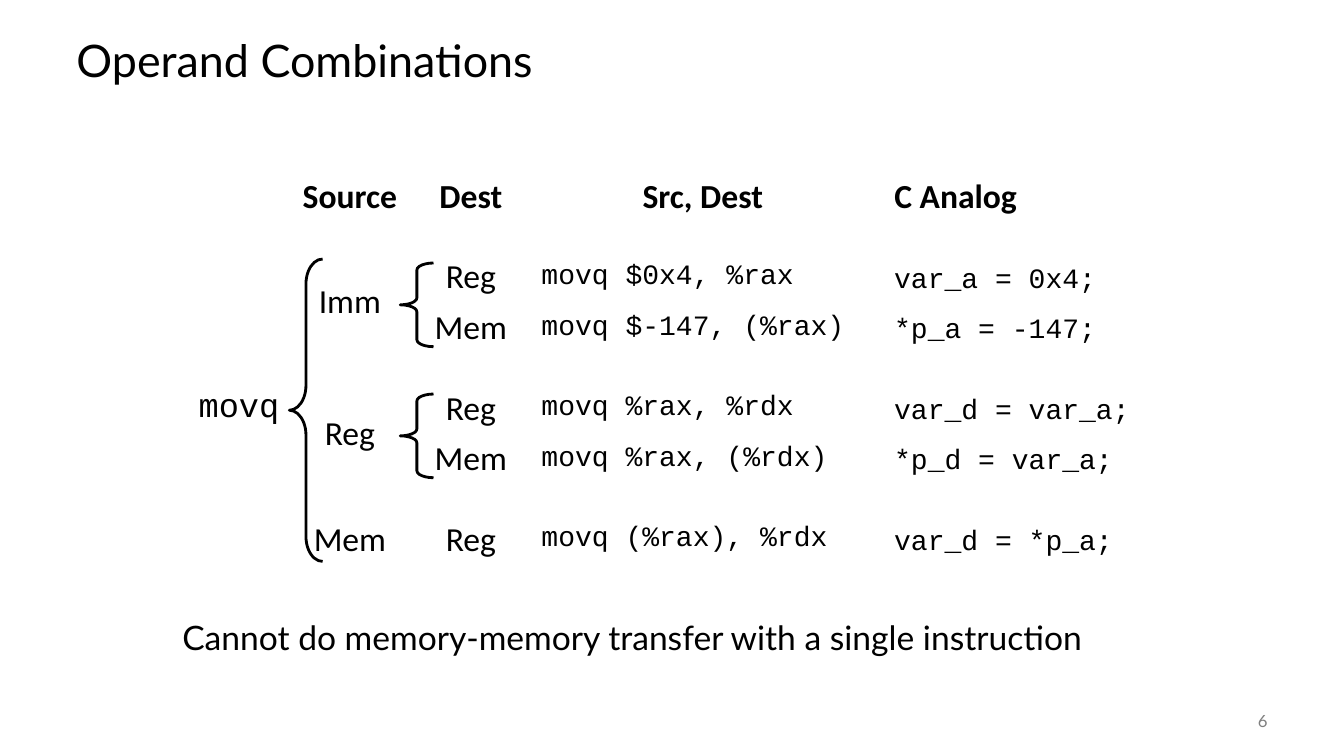
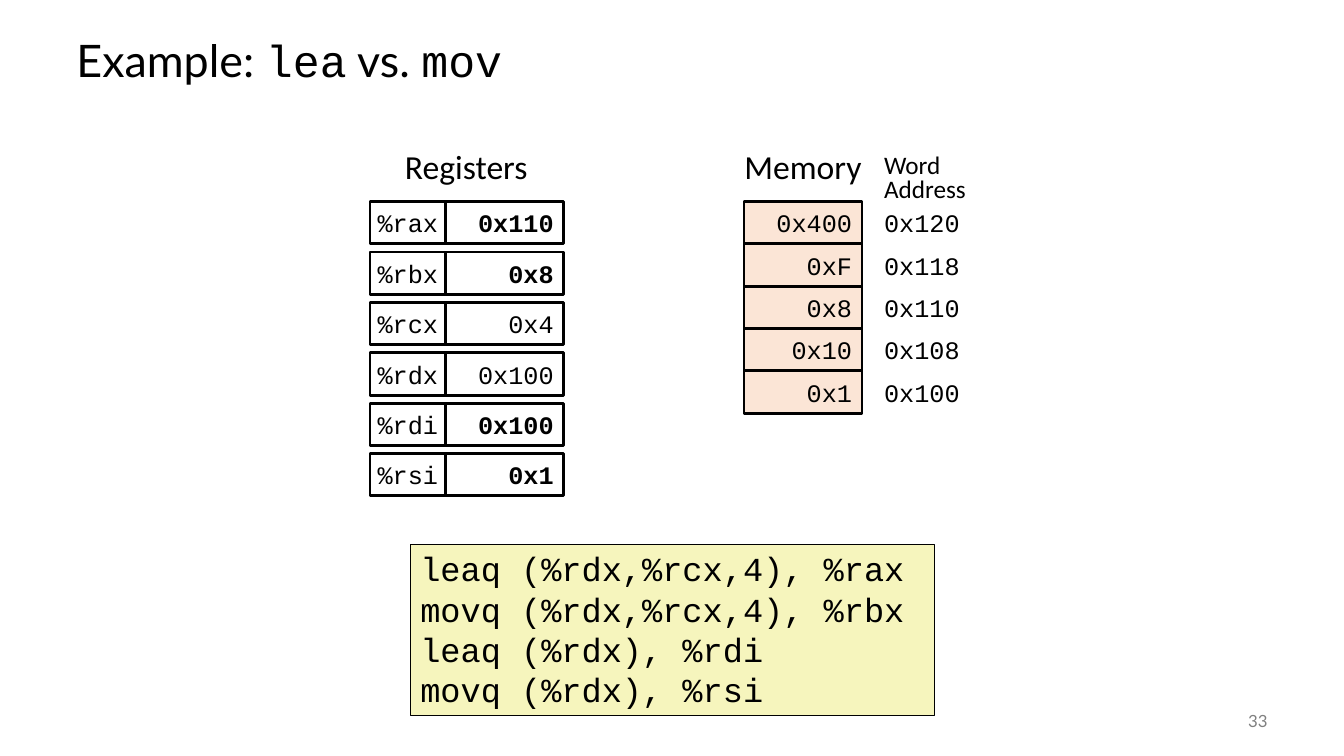
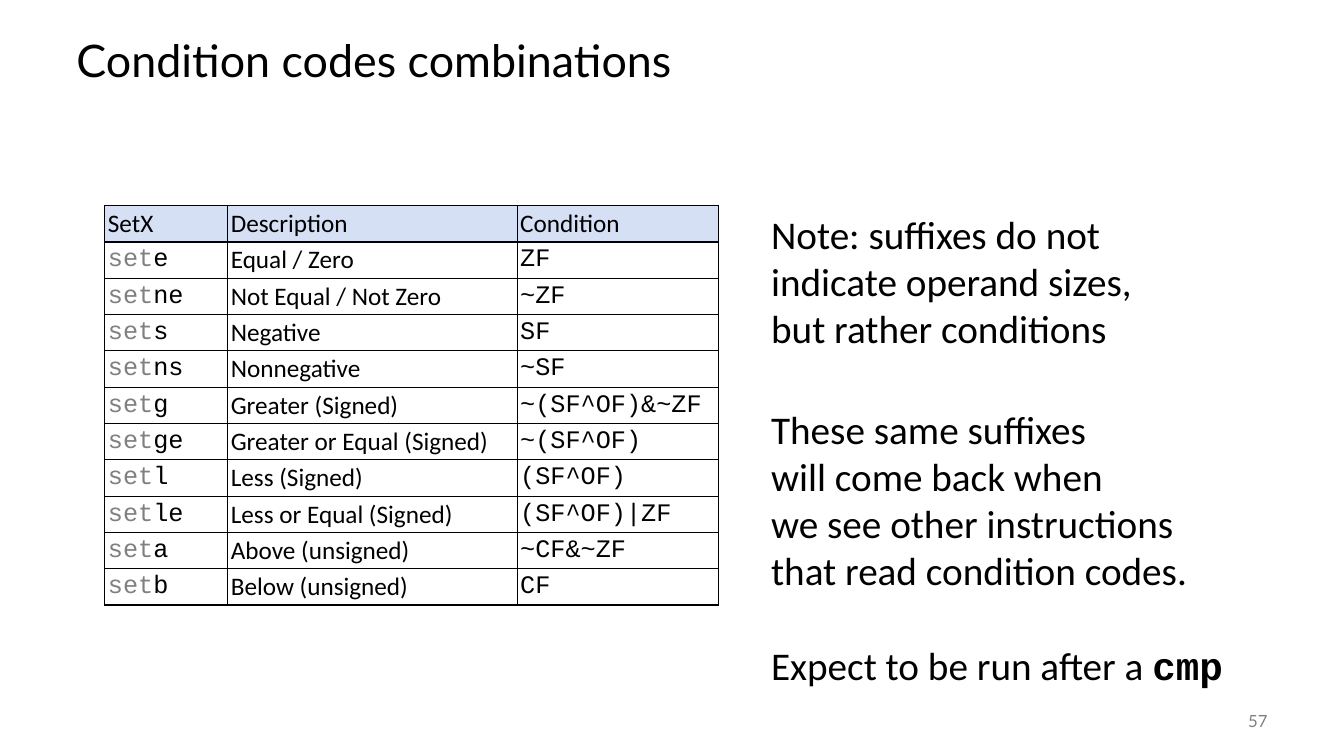
"""Build three slides on x86-64 operands, lea versus mov, and condition codes."""
import lxml.etree
import pptx
import pptx.dml.color
import pptx.enum.shapes
import pptx.enum.text
import pptx.oxml.ns
import pptx.util

Inches = pptx.util.Inches
Pt = pptx.util.Pt
RGBColor = pptx.dml.color.RGBColor
Shape = pptx.enum.shapes.MSO_SHAPE
Align = pptx.enum.text.PP_ALIGN
Anchor = pptx.enum.text.MSO_ANCHOR

BLACK = RGBColor(0x00, 0x00, 0x00)
WHITE = RGBColor(0xFF, 0xFF, 0xFF)
GRAY = RGBColor(0x80, 0x80, 0x80)
PEACH = RGBColor(0xFB, 0xE5, 0xD6)
YELLOW = RGBColor(0xF6, 0xF5, 0xBD)
PALE_BLUE = RGBColor(0xD6, 0xE0, 0xF5)

BODY = "Calibri"
CODE = "Courier New"
HEADING = "Lato"
PADDING = (0.1, 0.05, 0.1, 0.05)
ROW_HEIGHT = 0.42


def write(frame, paragraphs, font=BODY, size=18, color=BLACK, bold=False,
          align=Align.LEFT, spacing=None, gaps=None):
    if isinstance(paragraphs, str):
        paragraphs = [paragraphs]
    for index, spans in enumerate(paragraphs):
        para = frame.add_paragraph() if index else frame.paragraphs[0]
        para.alignment = align
        if spacing:
            para.line_spacing = spacing
        if gaps and index in gaps:
            para.space_before = Pt(gaps[index])
        for text, changes in [(spans, {})] if isinstance(spans, str) else spans:
            style = {"font": font, "color": color, "bold": bold, **changes}
            span = para.add_run()
            span.text = text
            span.font.name = style["font"]
            span.font.size = Pt(size)
            span.font.color.rgb = style["color"]
            span.font.bold = style["bold"]


def settle(holder, anchor, padding):
    holder.vertical_anchor = anchor
    (holder.margin_left, holder.margin_top,
     holder.margin_right, holder.margin_bottom) = map(Inches, padding)


def add_text(page, place, paragraphs, anchor=Anchor.MIDDLE, padding=PADDING,
             wrap=True, **style):
    frame = page.shapes.add_textbox(*map(Inches, place)).text_frame
    frame.word_wrap = wrap
    settle(frame, anchor, padding)
    write(frame, paragraphs, **style)


def add_box(page, place, paragraphs, fill=WHITE, border=2, anchor=Anchor.MIDDLE,
            padding=PADDING, wrap=True, **style):
    box = page.shapes.add_shape(Shape.RECTANGLE, *map(Inches, place))
    box.shadow.inherit = False
    box.fill.solid()
    box.fill.fore_color.rgb = fill
    box.line.color.rgb = BLACK
    box.line.width = Pt(border)
    box.text_frame.word_wrap = wrap
    settle(box.text_frame, anchor, padding)
    write(box.text_frame, paragraphs, font=CODE, **style)


def add_brace(page, place, curve):
    brace = page.shapes.add_shape(Shape.LEFT_BRACE, *map(Inches, place))
    brace.shadow.inherit = False
    brace.fill.background()
    brace.line.color.rgb = BLACK
    brace.line.width = Pt(2)
    brace.adjustments[0] = curve
    brace.adjustments[1] = 0.5


def add_grid(page, left, top, widths, heights):
    table = page.shapes.add_table(
        len(heights), len(widths), Inches(left), Inches(top),
        Inches(sum(widths)), Inches(sum(heights))).table
    table.first_row = False
    table.horz_banding = False
    for column, width in zip(table.columns, widths):
        column.width = Inches(width)
    for row, height in zip(table.rows, heights):
        row.height = Inches(height)
    for cell in table.iter_cells():
        cell.fill.background()
        cell.text_frame.paragraphs[0]._p.get_or_add_endParaRPr().set("sz", "1000")
    return table


def fill_cell(cell, text, padding=PADDING, **style):
    settle(cell, Anchor.MIDDLE, padding)
    write(cell.text_frame, [text], **style)


def outline_cell(cell):
    properties = cell._tc.get_or_add_tcPr()
    for position, side in enumerate(("lnL", "lnR", "lnT", "lnB")):
        line = lxml.etree.Element(pptx.oxml.ns.qn("a:" + side), w=str(Pt(1)))
        fill = lxml.etree.SubElement(line, pptx.oxml.ns.qn("a:solidFill"))
        lxml.etree.SubElement(fill, pptx.oxml.ns.qn("a:srgbClr"), val=str(BLACK))
        properties.insert(position, line)


def add_page(deck, title, number):
    page = deck.slides.add_slide(deck.slide_layouts[6])
    add_text(page, (0.66, 0.25, 12, 0.75), [title], font=HEADING, size=32, spacing=0.9)
    add_text(page, (11.67, 6.95, 1, 0.4), number, font=HEADING, size=12,
             color=GRAY, align=Align.RIGHT)
    return page


def build_operands(deck):
    page = add_page(deck, "Operand Combinations", "6")
    heights = [0.5] + [0.3, 0.5, 0.5] * 2 + [0.3, 0.5]
    table = add_grid(page, 1.87, 1.7, [1, 1.2, 1.2, 3.5, 2.6], heights)
    for column, first, last in ((0, 2, 8), (1, 2, 3), (1, 5, 6)):
        table.cell(first, column).merge(table.cell(last, column))
    code_padding = (0.1, 0.05, 0.2, 0.05)
    headers = ("Source", "Dest", "Src, Dest", "C Analog")
    for column, text in enumerate(headers, 1):
        fill_cell(table.cell(0, column), text, size=24, bold=True,
                  padding=code_padding if column == 3 else PADDING,
                  align=Align.LEFT if column == 4 else Align.CENTER)
    fill_cell(table.cell(2, 0), "movq", font=CODE, size=24, align=Align.CENTER)
    for row, source in ((2, "Imm"), (5, "Reg"), (8, "Mem")):
        fill_cell(table.cell(row, 1), source, size=24, align=Align.CENTER)
    add_brace(page, (2.87, 2.57, 0.33, 3), 0.75)
    for top in (2.61, 3.91):
        add_brace(page, (3.97, top, 0.33, 0.83), 0.21)
    moves = (
        (2, "Reg", "movq $0x4, %rax", "var_a = 0x4;"),
        (3, "Mem", "movq $-147, (%rax)", "*p_a = -147;"),
        (5, "Reg", "movq %rax, %rdx", "var_d = var_a;"),
        (6, "Mem", "movq %rax, (%rdx)", "*p_d = var_a;"),
        (8, "Reg", "movq (%rax), %rdx", "var_d = *p_a;"),
    )
    for row, target, move, analog in moves:
        fill_cell(table.cell(row, 2), target, size=24, align=Align.CENTER)
        fill_cell(table.cell(row, 3), move, font=CODE, size=20, padding=code_padding)
        add_text(page, (8.77, 1.7 + sum(heights[:row]), 2.6, 0.5), analog,
                 font=CODE, size=20)
    add_text(page, (1.71, 6.07, 9.81, 0.5),
             "Cannot do memory-memory transfer with a single instruction",
             font=HEADING, size=24, anchor=Anchor.TOP)


def build_lea(deck):
    code = {"font": CODE}
    page = add_page(deck, [("Example: ", {}), ("lea", code), (" vs. ", {}),
                           ("mov", code)], "33")
    for left, width, text in ((3.91, 1.43, "Registers"), (7.28, 1.37, "Memory")):
        add_text(page, (left, 1.4, width, 0.5), text, size=24, wrap=False,
                 anchor=Anchor.TOP, align=Align.CENTER)
    label_padding = (0.1, 0.05, 0, 0.05)
    add_text(page, (8.67, 1.49, 1, 0.59), ["Word", "Address"], spacing=0.8,
             anchor=Anchor.TOP, padding=label_padding)
    registers = (("%rax", "0x110", True), ("%rbx", "0x8", True),
                 ("%rcx", "0x4", False), ("%rdx", "0x100", False),
                 ("%rdi", "0x100", True), ("%rsi", "0x1", True))
    for index, (name, value, changed) in enumerate(registers):
        top = 2 + 0.5 * index
        add_box(page, (3.67, top, 0.75, ROW_HEIGHT), name, wrap=False,
                align=Align.CENTER)
        add_box(page, (4.42, top, 1.17, ROW_HEIGHT), value, bold=changed,
                align=Align.RIGHT)
    words = (("0x400", "0x120"), ("0xF", "0x118"), ("0x8", "0x110"),
             ("0x10", "0x108"), ("0x1", "0x100"))
    for index, (value, address) in enumerate(words):
        top = 2 + ROW_HEIGHT * index
        add_box(page, (7.38, top, 1.17, ROW_HEIGHT), value, fill=PEACH,
                align=Align.RIGHT)
        add_text(page, (8.67, top + 0.01, 1, 0.4), address, font=CODE,
                 padding=label_padding)
    add_box(page, (4.07, 5.4, 5.2, 1.7),
            ["leaq (%rdx,%rcx,4), %rax", "movq (%rdx,%rcx,4), %rbx",
             "leaq (%rdx), %rdi", "movq (%rdx), %rsi"],
            fill=YELLOW, border=1, size=24, anchor=Anchor.TOP,
            padding=(0.1, 0.04, 0.04, 0.04))


def build_conditions(deck):
    page = add_page(deck, "Condition codes combinations", "57")
    conditions = (
        ("e", "Equal / Zero", "ZF"),
        ("ne", "Not Equal / Not Zero", "~ZF"),
        ("s", "Negative", "SF"),
        ("ns", "Nonnegative", "~SF"),
        ("g", "Greater (Signed)", "~(SF^OF)&~ZF"),
        ("ge", "Greater or Equal (Signed)", "~(SF^OF)"),
        ("l", "Less (Signed)", "(SF^OF)"),
        ("le", "Less or Equal (Signed)", "(SF^OF)|ZF"),
        ("a", "Above (unsigned)", "~CF&~ZF"),
        ("b", "Below (unsigned)", "CF"),
    )
    rows = [("SetX", "Description", "Condition")]
    for suffix, meaning, flags in conditions:
        rows.append(([("set", {"color": GRAY}), (suffix, {})], meaning, flags))
    table = add_grid(page, 1.04, 2.04, [1.22, 2.87, 2], [0.36] * len(rows))
    for row, texts in enumerate(rows):
        for column, text in enumerate(texts):
            cell = table.cell(row, column)
            fill_cell(cell, text, padding=(0.03,) * 4,
                      font=CODE if row and column != 1 else BODY)
            if row == 0:
                cell.fill.solid()
                cell.fill.fore_color.rgb = PALE_BLUE
            outline_cell(cell)
    add_text(page, (7.55, 2.04, 3.82, 1.51),
             ["Note: suffixes do not", "indicate operand sizes,",
              "but rather conditions"], size=28, anchor=Anchor.TOP)
    add_text(page, (7.55, 3.97, 4.8, 2.93),
             ["These same suffixes", "will come back when",
              "we see other instructions", "that read condition codes.",
              [("Expect to be run after a ", {}),
               ("cmp", {"font": CODE, "bold": True})]],
             size=28, anchor=Anchor.TOP, gaps={4: 34})


def main():
    deck = pptx.Presentation()
    deck.slide_width = Inches(13.33)
    deck.slide_height = Inches(7.5)
    build_operands(deck)
    build_lea(deck)
    build_conditions(deck)
    deck.save("out.pptx")


if __name__ == "__main__":
    main()
